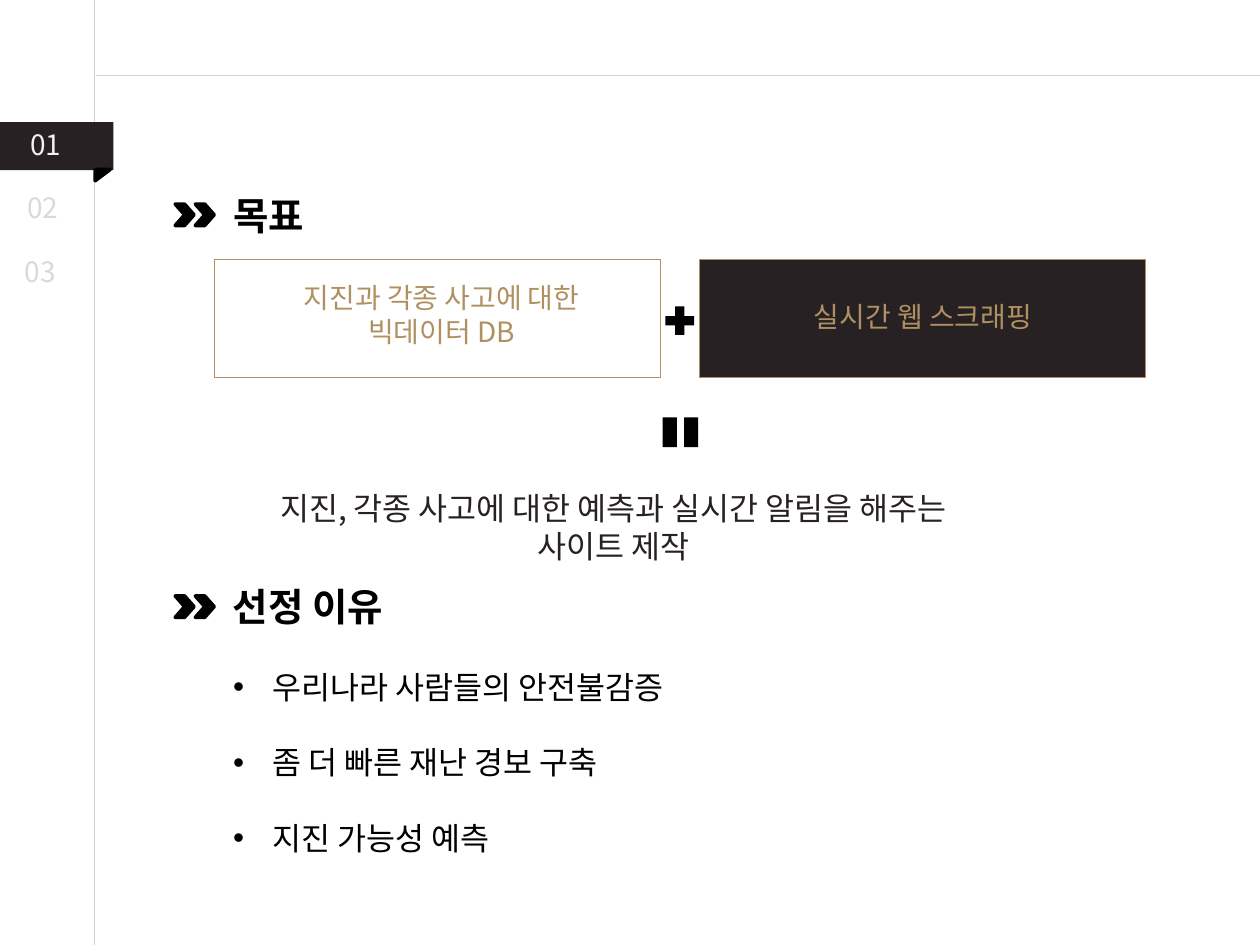
from lxml import etree
from pptx import Presentation
from pptx.dml.color import RGBColor
from pptx.enum.shapes import MSO_CONNECTOR, MSO_SHAPE
from pptx.enum.text import MSO_ANCHOR, MSO_AUTO_SIZE, PP_ALIGN
from pptx.oxml.ns import qn
from pptx.util import Inches, Pt

LEFT, CENTER = PP_ALIGN.LEFT, PP_ALIGN.CENTER
RECT, CHEVRON = MSO_SHAPE.RECTANGLE, MSO_SHAPE.CHEVRON
FONT = "Noto Sans CJK KR"
COLORS = {"black": "000000", "dark": "272123", "gold": "AF9061",
          "rule": "D2D2D2", "active": "F2F2F2", "idle": "D9D9D9"}


def write(s, box, lines, size, color, align=LEFT, bold=False):
    """Place a text shape and fill it with one paragraph per line."""
    s.left, s.top, s.width, s.height = [Inches(v) for v in box]
    tf = s.text_frame
    tf.word_wrap = True
    tf.auto_size = MSO_AUTO_SIZE.NONE
    tf.vertical_anchor = MSO_ANCHOR.TOP
    tf.text = "\n".join(lines)
    for p in tf.paragraphs:
        p.alignment = align
        p.space_before = Pt(0)
        p.font.size, p.font.bold = Pt(size), bold
        p.font.color.rgb = RGBColor.from_string(COLORS[color])
        p.font.name = FONT
        etree.SubElement(p.font._element, qn("a:ea")).set("typeface", FONT)
    return tf


def add_shape(kind, box, fill=None, line=None, width=0.5, rotation=0):
    """Add a preset shape with optional fill and outline."""
    s = shapes.add_shape(kind, *[Inches(v) for v in box])
    s.shadow.inherit = False
    s.rotation = rotation
    if fill:
        s.fill.solid()
        s.fill.fore_color.rgb = RGBColor.from_string(COLORS[fill])
    else:
        s.fill.background()
    if line:
        s.line.color.rgb = RGBColor.from_string(COLORS[line])
        s.line.width = Pt(width)
    else:
        s.line.fill.background()


prs = Presentation()
prs.slide_width, prs.slide_height = Inches(10), Inches(7.5)
slide = prs.slides.add_slide(prs.slide_layouts[1])
shapes = slide.shapes
title, body = shapes.title, slide.placeholders[1]

# Frame lines
for ends in [(0.75, 0, 0.75, 7.5), (0.76, 0.6, 10, 0.6)]:
    rule = shapes.add_connector(MSO_CONNECTOR.STRAIGHT, *[Inches(v) for v in ends])
    rule.line.color.rgb = RGBColor.from_string(COLORS["rule"])
    rule.line.width = Pt(0.75)
    etree.SubElement(rule._element.spPr, qn("a:effectLst"))

# Section numbers, the first one on a ribbon
add_shape(RECT, (0, 0.97, 0.9, 0.38), "dark")
add_shape(MSO_SHAPE.RIGHT_TRIANGLE, (0.77, 1.33, 0.09, 0.12), "black", "black", 2, 90)
for i, color in enumerate(["active", "idle", "idle"]):
    tab = shapes.add_textbox(0, 0, 0, 0)
    write(tab, (0.14 - 0.02 * i, 0.96 + 0.505 * i, 0.6, 0.37), [f"0{i + 1}"], 16, color)

# Headings with double chevrons
reason = shapes.add_textbox(0, 0, 0, 0)
for s, text, top in [(title, "목표", 1.47), (reason, "선정 이유", 4.58)]:
    write(s, (1.75, top, 4.09, 0.47), [text], 22, "black", bold=True)
    for left in (1.55, 1.39):
        add_shape(CHEVRON, (left, top + 0.15, 0.15, 0.17), "black", "black", 2)

# Goal: data plus scraping equals the site
for left, fill in [(1.7, None), (5.55, "dark")]:
    add_shape(RECT, (left, 2.06, 3.54, 0.94), fill, "gold")
for box, lines in [((2.01, 2.18, 2.99, 0.64), ["지진과 각종 사고에 대한", "빅데이터 DB"]),
                   ((5.92, 2.33, 2.81, 0.37), ["실시간 웹 스크래핑"])]:
    write(shapes.add_textbox(0, 0, 0, 0), box, lines, 16, "gold", CENTER)
add_shape(MSO_SHAPE.MATH_PLUS, (5.24, 2.39, 0.31, 0.31), "black")
add_shape(MSO_SHAPE.MATH_EQUAL, (5.24, 3.19, 0.32, 0.48), "black", rotation=90)
result = write(shapes.add_textbox(0, 0, 0, 0), (1.7, 3.83, 7.4, 0.71),
               ["지진, 각종 사고에 대한 예측과 실시간 알림을 해주는", "사이트 제작"],
               18, "dark", CENTER)
result.margin_right = Inches(1.16)

# Reasons
reasons = write(body, (1.75, 5.25, 6.27, 1.62),
                ["우리나라 사람들의 안전불감증", "좀 더 빠른 재난 경보 구축", "지진 가능성 예측"],
                18, "black")
for p in reasons.paragraphs:
    p.space_after = Pt(21.6)
    pPr = p._p.get_or_add_pPr()
    pPr.set("marL", str(Inches(0.31)))
    pPr.set("indent", str(-Inches(0.31)))

prs.save("out.pptx")
